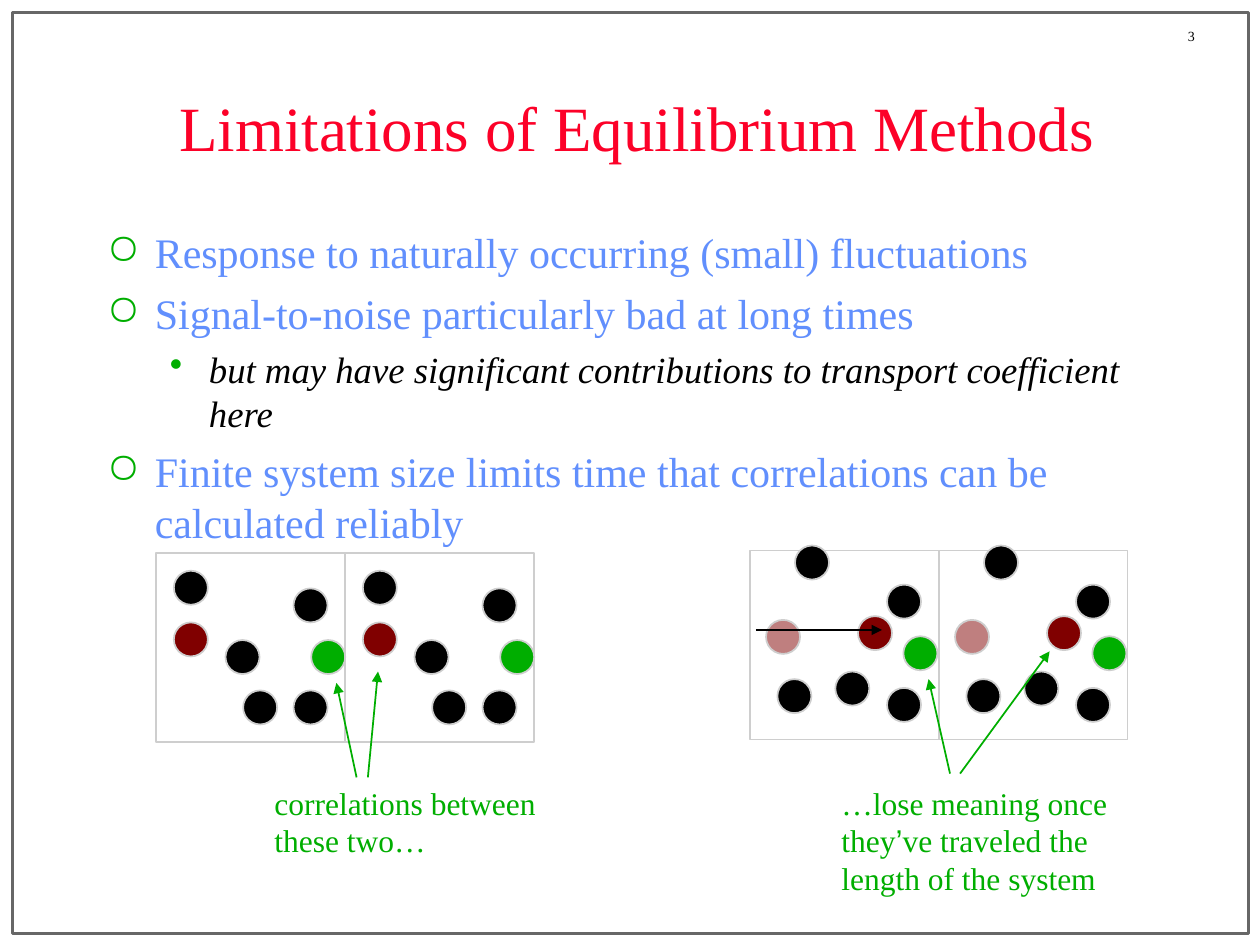
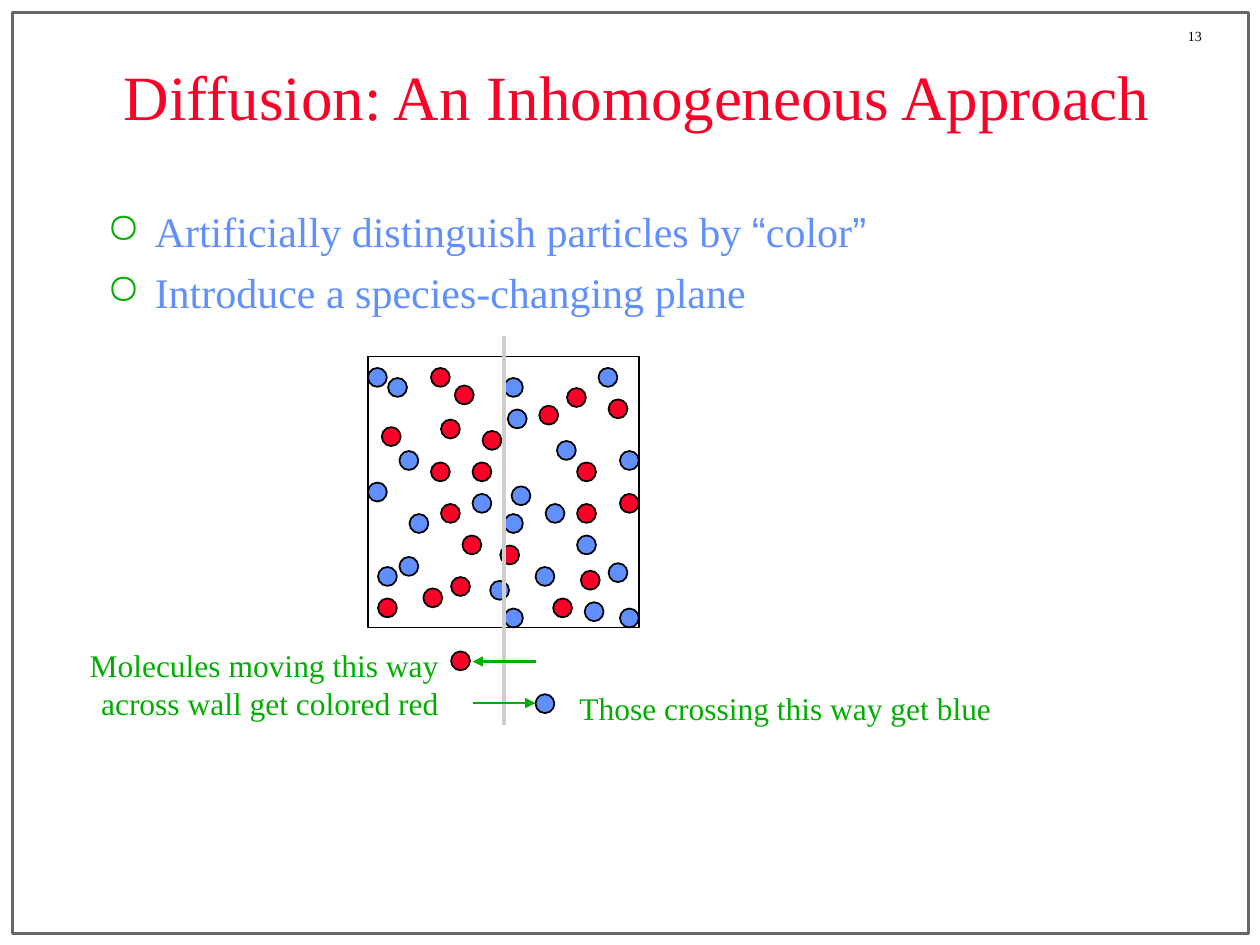
import math
from dataclasses import dataclass

from lxml import etree
from pptx import Presentation
from pptx.dml.color import RGBColor
from pptx.enum import shapes, text
from pptx.oxml import ns
from pptx.util import Inches, Pt


@dataclass(frozen=True)
class Theme:
    serif: str = "Times New Roman"
    sans: str = "Arial"
    red: str = "FC0128"
    blue: str = "618FFD"
    green: str = "00AE00"
    maroon: str = "800000"
    black: str = "000000"
    silver: str = "CECECE"
    frame: str = "676767"
    title_size: float = 36
    body_size: float = 24
    sub_size: float = 21
    note_size: float = 18
    number_size: float = 8


T = Theme()
RECT = shapes.MSO_SHAPE.RECTANGLE
OVAL = shapes.MSO_SHAPE.OVAL
ALIGN = text.PP_ALIGN
ATOM = 0.27
MOLECULE = 0.15

INITIAL_CELL = [
    (T.maroon, None, [(0.14, 0.55)]),
    (T.black, None, [(0.55, 0.69), (0.69, 1.09), (1.09, 0.28), (1.09, 1.09), (0.14, 0.14)]),
    (T.green, None, [(1.23, 0.69)]),
]
LATER_CELL = [
    (T.maroon, 50, [(0.13, 0.55)]),
    (T.black, None, [(0.22, 1.02), (0.68, 0.96), (1.09, 0.27), (1.09, 1.09), (0.36, -0.04)]),
    (T.green, None, [(1.22, 0.68)]),
    (T.maroon, None, [(0.86, 0.52)]),
]
BLUE_MOLECULES = [
    (0.16, 0.17), (1.83, 0.09), (1.11, 0.42), (0.33, 1.25), (0, 0.09), (1.5, 0.67),
    (1.33, 1.67), (1.72, 1.95), (0.97, 1.78), (1.14, 1.03), (1.41, 1.17), (1.66, 1.42),
    (2, 0.75), (0.83, 1.09), (0.08, 1.67), (1.08, 2), (0.25, 1.59), (1.08, 0.17),
    (1.08, 1.25), (2, 2), (1.91, 1.64), (0, 1), (0.25, 0.75),
]
RED_MOLECULES = [
    (0.11, 0.56), (0.69, 0.23), (1.66, 0.84), (1.66, 1.17), (2, 1.09), (0.66, 1.75),
    (0.58, 1.17), (0.5, 0.09), (1.91, 0.34), (0.08, 1.92), (0.5, 0.84), (0.44, 1.84),
    (0.75, 1.42), (1.58, 0.25), (0.83, 0.84), (0.91, 0.59), (1.69, 1.7), (1.36, 0.39),
    (1.47, 1.92), (0.58, 0.5), (1.05, 1.5),
]


def rgb(value):
    return RGBColor.from_string(value)


def sub(parent, tag, **attrs):
    return etree.SubElement(parent, ns.qn(tag), attrs)


def set_line(sp, color, width, arrow=False):
    sp.line.color.rgb = rgb(color)
    sp.line.width = Pt(width)
    if arrow:
        sub(sp.line._get_or_add_ln(), "a:tailEnd", type="triangle")


def add_shape(s, kind, x, y, w, h, line, width=1, fill=None, opacity=None):
    sp = s.shapes.add_shape(kind, Inches(x), Inches(y), Inches(w), Inches(h))
    sp.shadow.inherit = False
    if fill:
        sp.fill.solid()
        sp.fill.fore_color.rgb = rgb(fill)
        if opacity:
            color = sp._element.spPr.find(".//" + ns.qn("a:srgbClr"))
            sub(color, "a:alpha", val=str(opacity * 1000))
    else:
        sp.fill.background()
    set_line(sp, line, width)


def add_dots(s, x, y, size, spots, fill, line, opacity=None):
    for dx, dy in spots:
        add_shape(s, OVAL, x + dx, y + dy, size, size, line, fill=fill, opacity=opacity)


def add_line(s, start, end, color, width, arrow=True):
    points = [Inches(v) for v in (*start, *end)]
    c = s.shapes.add_connector(shapes.MSO_CONNECTOR.STRAIGHT, *points)
    set_line(c, color, width, arrow)
    sub(c._element.spPr, "a:effectLst")


def add_hop(s, x, y, rx=0.295, ry=0.08, steps=24):
    angles = [math.pi * (1 - i / steps) for i in range(steps + 1)]
    points = [(x + rx + rx * math.cos(a), y - ry * math.sin(a)) for a in angles]
    builder = s.shapes.build_freeform(*points[0], scale=Inches(1))
    builder.add_line_segments(points[1:], close=False)
    sp = builder.convert_to_shape()
    sp.shadow.inherit = False
    sp.fill.background()
    set_line(sp, T.black, 1, arrow=True)


def add_text_box(s, x, y, w, h, anchor=text.MSO_ANCHOR.TOP):
    tf = s.shapes.add_textbox(Inches(x), Inches(y), Inches(w), Inches(h)).text_frame
    tf.word_wrap = True
    tf.vertical_anchor = anchor
    return tf


def add_runs(p, parts, size, color, italic=False):
    for part in parts:
        r = p.add_run()
        r.text = part
        r.font.name = T.sans if part in "“”’" else T.serif
        r.font.size = Pt(size)
        r.font.color.rgb = rgb(color)
        r.font.italic = italic


def add_label(s, x, y, w, h, parts, size=T.note_size, color=T.green,
              align=ALIGN.LEFT, anchor=text.MSO_ANCHOR.TOP):
    p = add_text_box(s, x, y, w, h, anchor).paragraphs[0]
    p.alignment = align
    add_runs(p, parts, size, color)


def add_bullets(s, x, y, w, h, items):
    tf = add_text_box(s, x, y, w, h)
    for i, (level, parts) in enumerate(items):
        p = tf.add_paragraph() if i else tf.paragraphs[0]
        p.level = level
        left, hang, mark, gap = [(0.38, 0.38, "○", 6), (0.81, 0.31, "•", 5.2)][level]
        if i:
            p.space_before = Pt(gap)
        pPr = p._p.get_or_add_pPr()
        pPr.set("marL", str(Inches(left)))
        pPr.set("indent", str(-Inches(hang)))
        sub(sub(pPr, "a:buClr"), "a:srgbClr", val=T.green)
        sub(pPr, "a:buChar", char=mark)
        if level:
            add_runs(p, parts, T.sub_size, T.black, italic=True)
        else:
            add_runs(p, parts, T.body_size, T.blue)


def add_base(prs, number, title, title_y, body_y, items):
    s = prs.slides.add_slide(prs.slide_layouts[6])
    add_shape(s, RECT, 0.1, 0.1, 9.81, 7.31, T.frame, 2)
    add_label(s, 9.33, 0.17, 0.67, 0.23, [number], T.number_size, T.black)
    add_label(s, 0.75, title_y, 8.61, 0.99, [title], T.title_size, T.red,
              ALIGN.CENTER, text.MSO_ANCHOR.MIDDLE)
    add_bullets(s, 0.75, body_y, 8.75, 4.5, items)
    return s


def add_periodic_cells(s, x, y, cell, side=1.5):
    for left in (x, x + side):
        add_shape(s, RECT, left, y, side, side, T.silver)
        for fill, opacity, spots in cell:
            add_dots(s, left, y, ATOM, spots, fill, T.silver, opacity)


def add_initial_state(s, x, y):
    add_periodic_cells(s, x, y, INITIAL_CELL)
    add_line(s, (x + 1.59, y + 1.78), (x + 1.43, y + 1.03), T.green, 1)
    add_line(s, (x + 1.68, y + 1.78), (x + 1.76, y + 0.94), T.green, 1)
    add_label(s, x + 0.84, y + 1.78, 2.5, 0.7, ["correlations between these two…"])


def add_later_state(s, x, y):
    add_periodic_cells(s, x, y, LATER_CELL)
    add_line(s, (x + 1.59, y + 1.77), (x + 1.42, y + 1.02), T.green, 1)
    add_line(s, (x + 1.67, y + 1.77), (x + 2.38, y + 0.8), T.green, 1)
    for dx in (0.3, 1.88):
        add_hop(s, x + dx, y + 0.54)
    add_label(s, x + 0.63, y + 1.8, 2.5, 1,
              ["…lose meaning once they", "’", "ve traveled the length of the system"])


def add_diffusion_box(s, x, y, side=2.15):
    add_shape(s, RECT, x, y, side, side, T.black)
    add_dots(s, x, y, MOLECULE, BLUE_MOLECULES, T.blue, T.black)
    add_dots(s, x, y, MOLECULE, RED_MOLECULES, T.red, T.black)
    plane = x + 1.08
    add_line(s, (plane, y - 0.16), (plane, y + 2.92), T.silver, 2.25, arrow=False)


def add_crossing_key(s, x, y):
    add_line(s, (x + 0.25, y), (x - 0.25, y), T.green, 1.5)
    add_dots(s, x, y, MOLECULE, [(-0.42, -0.08)], T.red, T.black)
    add_line(s, (x - 0.25, y + 0.33), (x + 0.25, y + 0.33), T.green, 1.5)
    add_dots(s, x, y, MOLECULE, [(0.25, 0.26)], T.blue, T.black)
    add_label(s, x - 3.67, y - 0.17, 3.25, 0.7,
              ["Molecules moving this way across wall get colored red"], align=ALIGN.RIGHT)
    add_label(s, x + 0.5, y + 0.17, 3.5, 0.4, ["Those crossing this way get blue"])


def build_limitations(prs):
    s = add_base(prs, "3", "Limitations of Equilibrium Methods", 0.51, 1.75, [
        (0, ["Response to naturally occurring (small) fluctuations"]),
        (0, ["Signal-to-noise particularly bad at long times"]),
        (1, ["but may have significant contributions to transport coefficient here"]),
        (0, ["Finite system size limits time that correlations can be calculated reliably"]),
    ])
    add_initial_state(s, 1.24, 4.39)
    add_later_state(s, 5.95, 4.37)


def build_diffusion(prs):
    s = add_base(prs, "13", "Diffusion: An Inhomogeneous Approach", 0.26, 1.58, [
        (0, ["Artificially distinguish particles by ", "“", "color", "”"]),
        (0, ["Introduce a species-changing plane"]),
    ])
    add_diffusion_box(s, 2.92, 2.83)
    add_crossing_key(s, 4, 5.25)


def main():
    prs = Presentation()
    prs.slide_width, prs.slide_height = Inches(10), Inches(7.5)
    build_limitations(prs)
    build_diffusion(prs)
    prs.save("out.pptx")


if __name__ == "__main__":
    main()
